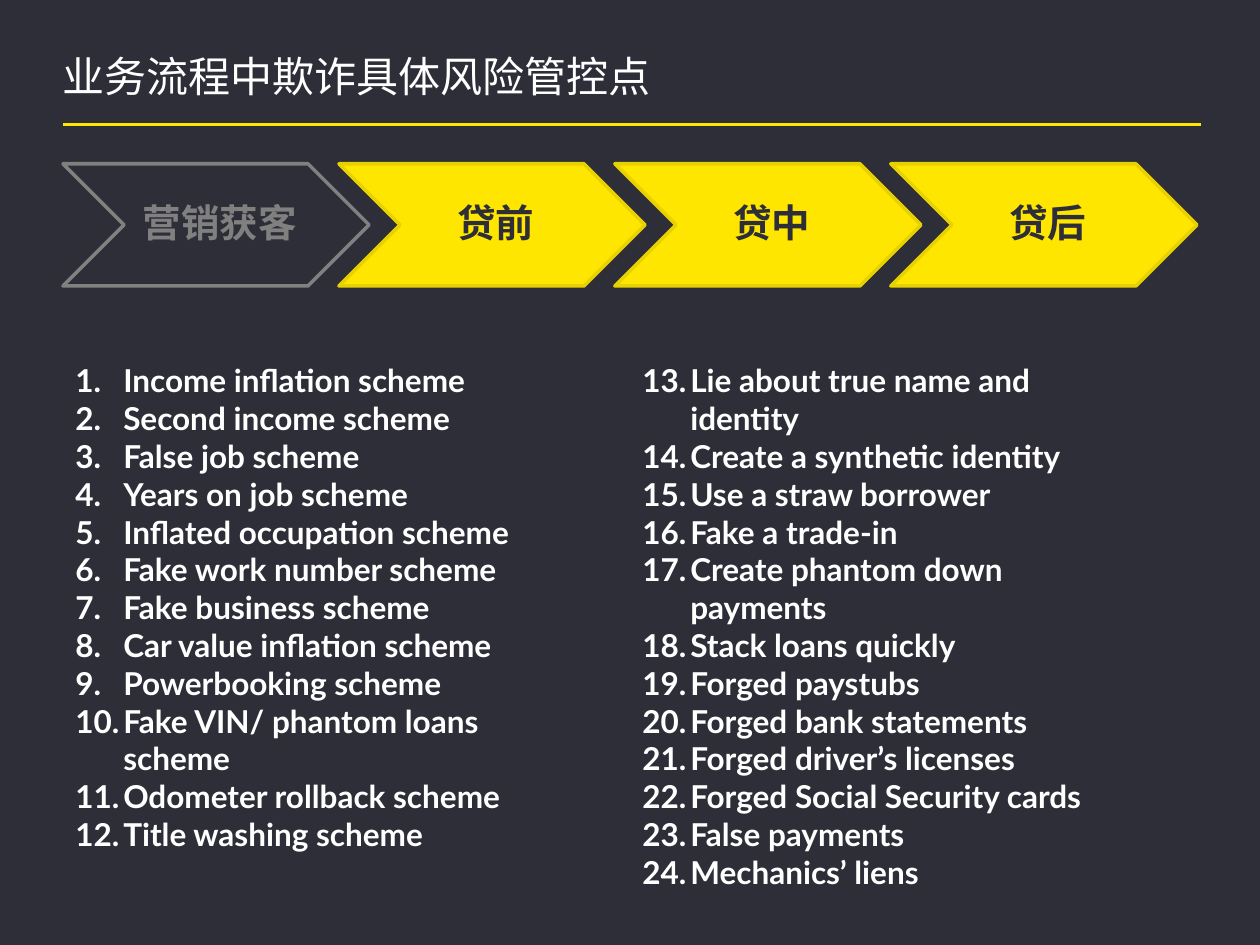
from lxml import etree
from pptx import Presentation
from pptx.dml.color import RGBColor
from pptx.enum.shapes import MSO_CONNECTOR, MSO_SHAPE
from pptx.enum.text import MSO_ANCHOR, PP_ALIGN
from pptx.oxml.ns import qn
from pptx.util import Inches, Pt

STRAIGHT = MSO_CONNECTOR.STRAIGHT
CHEVRON = MSO_SHAPE.CHEVRON
MIDDLE = MSO_ANCHOR.MIDDLE
CENTER = PP_ALIGN.CENTER
DARK, WHITE, GRAY = "2E2E38", "FFFFFF", "808080"
YELLOW, GOLD = "FFE600", "E7D100"


def paint(color, code):
    color.rgb = RGBColor.from_string(code)


def style(para, size, code, bold=False):
    for run in para.runs:
        run.font.name = "Lato"
        run.font.size = Pt(size)
        run.font.bold = bold
        paint(run.font.color, code)


deck = Presentation()
deck.slide_width = Inches(10)
deck.slide_height = Inches(7.5)
slide = deck.slides.add_slide(deck.slide_layouts[6])
back = slide.background.fill
back.solid()
paint(back.fore_color, DARK)

rule = slide.shapes.add_connector(
    STRAIGHT, Inches(0.5), Inches(0.99), Inches(9.53), Inches(0.99))
rule.line.width = Pt(1.5)
paint(rule.line.color, YELLOW)
etree.SubElement(rule._element.spPr, qn("a:effectLst"))

title = slide.shapes.add_textbox(Inches(0.5), Inches(0.46), Inches(9), Inches(0.65))
frame = title.text_frame
frame.word_wrap = True
frame.margin_left = frame.margin_right = frame.margin_top = frame.margin_bottom = 0
frame.text = "业务流程中欺诈具体风险管控点"
frame.paragraphs[0].line_spacing = 0.85
style(frame.paragraphs[0], 24, WHITE)

stages = ["营销获客", "贷前", "贷中", "贷后"]
for i, name in enumerate(stages):
    step = slide.shapes.add_shape(
        CHEVRON, Inches(0.5 + 2.19 * i), Inches(1.3), Inches(2.43), Inches(0.97))
    step.shadow.inherit = False
    step.line.width = Pt(2)
    if i == 0:
        step.fill.background()
        paint(step.line.color, GRAY)
    else:
        step.fill.solid()
        paint(step.fill.fore_color, YELLOW)
        paint(step.line.color, GOLD)
    frame = step.text_frame
    frame.vertical_anchor = MIDDLE
    frame.margin_left = Inches(0.09)
    frame.margin_right = frame.margin_top = frame.margin_bottom = Inches(0.03)
    frame.text = name
    para = frame.paragraphs[0]
    para.alignment = CENTER
    para.line_spacing = 0.9
    style(para, 22, GRAY if i == 0 else DARK, True)

lists = [
    (0.5, 4.08, 1, [
        "Income inflation scheme",
        "Second income scheme",
        "False job scheme",
        "Years on job scheme",
        "Inflated occupation scheme",
        "Fake work number scheme",
        "Fake business scheme",
        "Car value inflation scheme",
        "Powerbooking scheme",
        "Fake VIN/ phantom loans scheme",
        "Odometer rollback scheme",
        "Title washing scheme",
    ]),
    (5, 4.02, 13, [
        "Lie about true name and identity",
        "Create a synthetic identity",
        "Use a straw borrower",
        "Fake a trade-in",
        "Create phantom down payments",
        "Stack loans quickly",
        "Forged paystubs",
        "Forged bank statements",
        "Forged driver’s licenses",
        "Forged Social Security cards",
        "False payments",
        "Mechanics’ liens",
    ]),
]
for left, width, start, items in lists:
    box = slide.shapes.add_textbox(
        Inches(left), Inches(2.82), Inches(width), Inches(3.74))
    frame = box.text_frame
    frame.word_wrap = True
    frame.text = "\n".join(items)
    for para in frame.paragraphs:
        props = para._p.get_or_add_pPr()
        props.set("marL", str(Inches(0.38)))
        props.set("indent", str(-Inches(0.38)))
        mark = etree.SubElement(props, qn("a:buAutoNum"), type="arabicPeriod")
        if start > 1:
            mark.set("startAt", str(start))
        style(para, 18, WHITE, True)

deck.save("out.pptx")
